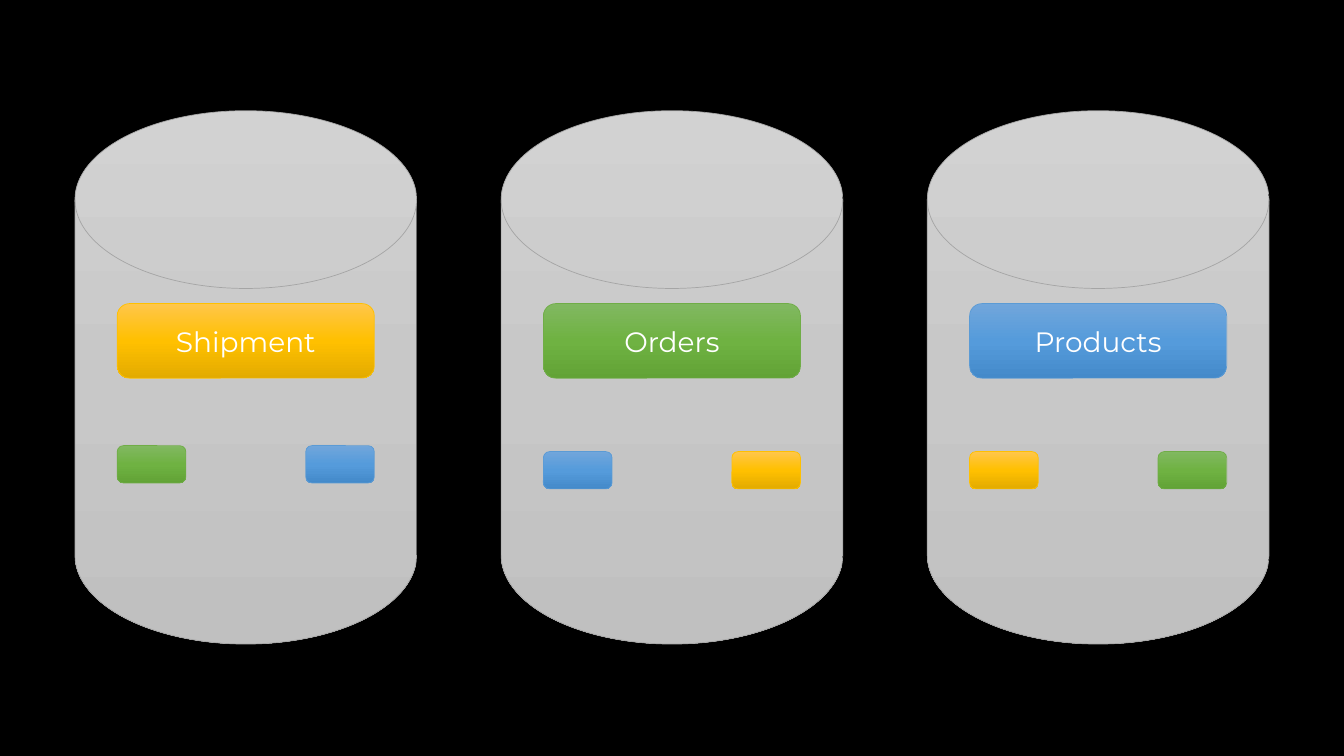
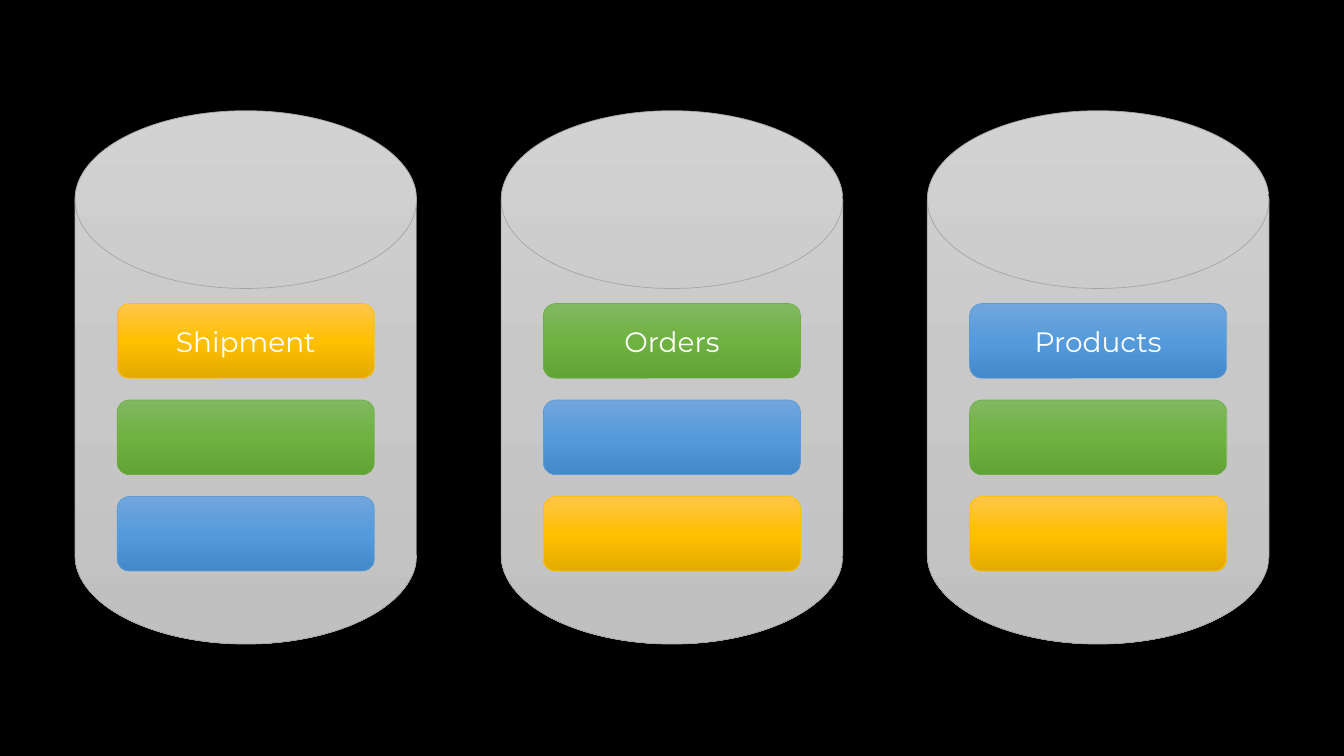
"""Two slides of three databases: each owns one table and holds small or full copies of the others."""
import copy

import pptx
import pptx.dml.color
import pptx.enum.shapes
import pptx.enum.text
import pptx.util

Cm = pptx.util.Cm
RGB = pptx.dml.color.RGBColor
Kind = pptx.enum.shapes.MSO_SHAPE

BLACK = RGB(0x00, 0x00, 0x00)
WHITE = RGB(0xFF, 0xFF, 0xFF)
FONT = "Montserrat"

# Each palette: gradient top, middle, bottom, then outline
GREY = (RGB(0xD2, 0xD2, 0xD2), RGB(0xC8, 0xC8, 0xC8), RGB(0xC0, 0xC0, 0xC0), RGB(0xA5, 0xA5, 0xA5))
GOLD = (RGB(0xFF, 0xC6, 0x4B), RGB(0xFF, 0xC0, 0x00), RGB(0xE3, 0xAB, 0x00), RGB(0xFF, 0xC0, 0x00))
GREEN = (RGB(0x81, 0xB8, 0x61), RGB(0x6F, 0xB2, 0x42), RGB(0x62, 0xA3, 0x36), RGB(0x70, 0xAD, 0x47))
BLUE = (RGB(0x71, 0xA6, 0xDB), RGB(0x55, 0x9B, 0xDB), RGB(0x44, 0x8A, 0xCA), RGB(0x5B, 0x9B, 0xD5))

DATABASES = [("Shipment", GOLD), ("Orders", GREEN), ("Products", BLUE)]
PARTIAL_TABLES = [(GREEN, BLUE), (BLUE, GOLD), (GOLD, GREEN)]
PARTIAL_TOPS = [Cm(11.23), Cm(11.38), Cm(11.38)]
FULL_TABLES = [(GREEN, BLUE), (BLUE, GOLD), (GREEN, GOLD)]

SLIDE_W, SLIDE_H = Cm(33.87), Cm(19.05)
DISK_W, DISK_H, DISK_TOP, DISK_PITCH = Cm(8.61), Cm(13.44), Cm(2.79), Cm(10.74)
TABLE_W, TABLE_H, TABLE_TOP, TABLE_PITCH = Cm(6.48), Cm(1.88), Cm(7.65), Cm(2.43)
PARTIAL_W, PARTIAL_H = Cm(1.73), Cm(0.94)

first_disk_left = (SLIDE_W - DISK_W - 2 * DISK_PITCH) // 2
disk_lefts = [first_disk_left + i * DISK_PITCH for i in range(len(DATABASES))]
table_lefts = [left + (DISK_W - TABLE_W) // 2 for left in disk_lefts]


def add_block(slide, kind, left, top, width, height, palette, label=""):
    """Add a shape with a vertical three-colour gradient and an optional label."""
    block = slide.shapes.add_shape(kind, left, top, width, height)
    block.shadow.inherit = False
    block.fill.gradient()
    block.fill.gradient_angle = 270
    stop_list = next(block.element.iter("{*}gsLst"))
    stop_list.append(copy.deepcopy(stop_list[0]))
    for stop, position, colour in zip(block.fill.gradient_stops, (0, 0.5, 1), palette):
        stop.position = position
        stop.color.rgb = colour
    block.line.color.rgb = palette[3]
    block.line.width = pptx.util.Pt(0.5)
    if label:
        block.text_frame.vertical_anchor = pptx.enum.text.MSO_ANCHOR.MIDDLE
        paragraph = block.text_frame.paragraphs[0]
        paragraph.alignment = pptx.enum.text.PP_ALIGN.CENTER
        run = paragraph.add_run()
        run.text = label
        run.font.name = FONT
        run.font.size = pptx.util.Pt(20)
        run.font.color.rgb = WHITE


def add_table_block(slide, left, row, palette, label=""):
    """Add a full-width table block in the given row of a database."""
    top = TABLE_TOP + row * TABLE_PITCH
    add_block(slide, Kind.ROUNDED_RECTANGLE, left, top, TABLE_W, TABLE_H, palette, label)


def add_database_slide(deck):
    """Add a slide with the three databases and the table each one owns."""
    slide = deck.slides.add_slide(deck.slide_layouts[6])
    for disk_left, table_left, (name, palette) in zip(disk_lefts, table_lefts, DATABASES):
        add_block(slide, Kind.FLOWCHART_MAGNETIC_DISK, disk_left, DISK_TOP, DISK_W, DISK_H, GREY)
        add_table_block(slide, table_left, 0, palette, name)
    return slide


deck = pptx.Presentation()
deck.slide_width, deck.slide_height = SLIDE_W, SLIDE_H
backdrop = deck.slide_master.background.fill
backdrop.solid()
backdrop.fore_color.rgb = BLACK

partial_slide = add_database_slide(deck)
for left, top, palettes in zip(table_lefts, PARTIAL_TOPS, PARTIAL_TABLES):
    for column, palette in enumerate(palettes):
        partial_left = left + column * (TABLE_W - PARTIAL_W)
        add_block(partial_slide, Kind.ROUNDED_RECTANGLE, partial_left, top, PARTIAL_W, PARTIAL_H, palette)

full_slide = add_database_slide(deck)
for left, palettes in zip(table_lefts, FULL_TABLES):
    for row, palette in enumerate(palettes, start=1):
        add_table_block(full_slide, left, row, palette)

deck.save("out.pptx")
